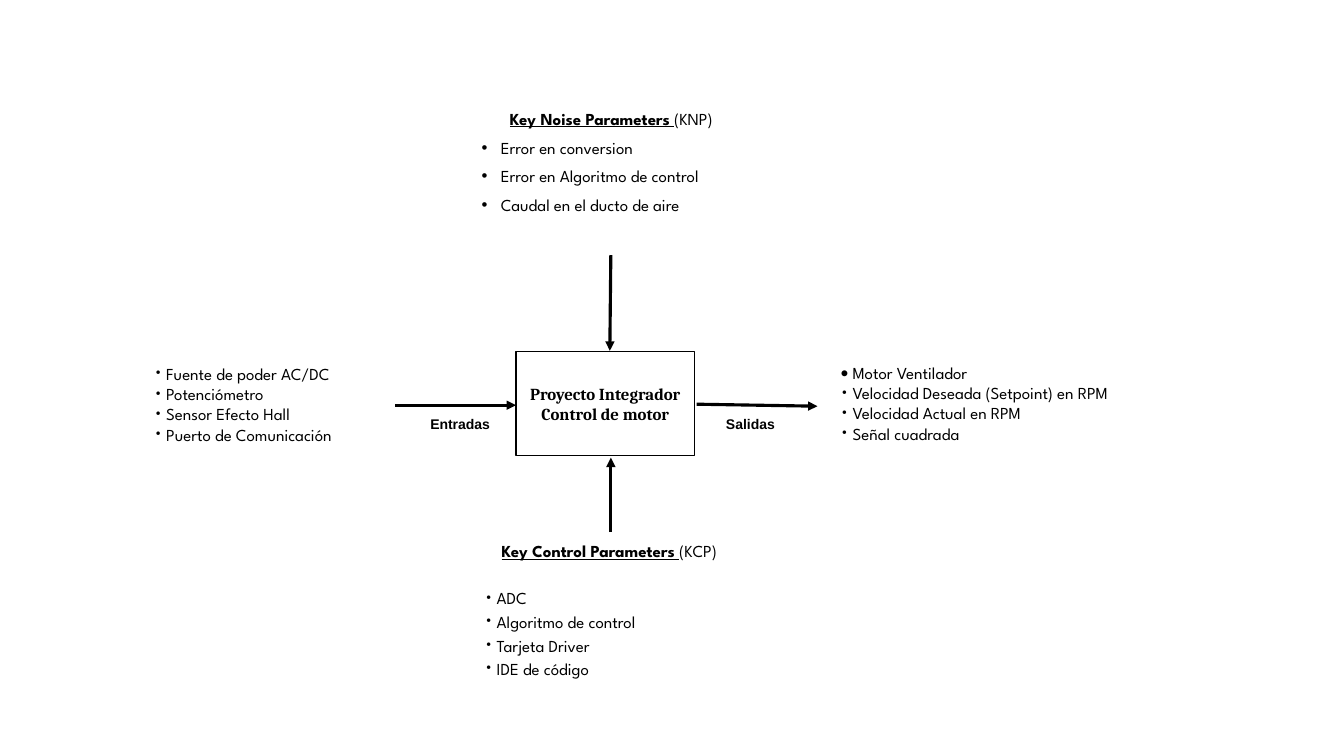
from dataclasses import dataclass
from lxml import etree
from pptx import Presentation, util as u
from pptx.dml.color import RGBColor
from pptx.enum import shapes, text
from pptx.oxml.ns import qn


@dataclass(frozen=True)
class Theme:
    ink: RGBColor = RGBColor(0, 0, 0)
    body: str = "League Spartan"
    core: str = "Cambria"
    label: str = "Arial"
    size: float = 12
    small: float = 10
    edge: float = 1
    arrow: float = 2.25


T = Theme()
ALIGN = text.PP_ALIGN
deck = Presentation()
deck.slide_width, deck.slide_height = u.Inches(13.33), u.Inches(7.5)
slide = deck.slides.add_slide(deck.slide_layouts[6])
COL, ROW = deck.slide_width / 80, deck.slide_height / 45


def grid(box):
    """Turn columns and rows into lengths."""
    return [round(n * unit) for n, unit in zip(box, (COL, ROW, COL, ROW))]


def style(para, face, size=T.size, bold=None, align=ALIGN.LEFT, gap=0):
    para.alignment, para.space_before = align, u.Pt(gap)
    font = para.font
    font.name, font.size, font.bold = face, u.Pt(size), bold
    font.color.rgb = T.ink


def frame(box):
    area = slide.shapes.add_textbox(*grid(box)).text_frame
    area.word_wrap = True
    return area


def bullet(para, hang, face):
    """Hang a round bullet in front of the paragraph."""
    props = para._p.get_or_add_pPr()
    props.set("marL", str(u.Inches(hang)))
    props.set("indent", str(-u.Inches(hang)))
    etree.SubElement(props, qn("a:buFont")).set("typeface", face)
    etree.SubElement(props, qn("a:buChar")).set("char", "•")


def items(area, lines, gap=0, first=0, hang=0.12, faces=()):
    """Fill a text frame with bullets, after any heading it holds."""
    for i, line in enumerate(lines):
        fresh = i == 0 and not area.text
        para = area.paragraphs[0] if fresh else area.add_paragraph()
        para.text = line
        style(para, T.body, gap=gap if i else first)
        bullet(para, hang, faces[i] if i < len(faces) else T.body)


def factors(box, name, code, lines, **looks):
    """Underlined heading with its bullets below."""
    area = frame(box)
    head = area.paragraphs[0]
    style(head, T.body, align=ALIGN.CENTER)
    for part, bold, line in ((name, True, True), (" ", False, True),
                             (code, False, False)):
        run = head.add_run()
        run.text, run.font.bold, run.font.underline = part, bold, line
    items(area, lines, **looks)


def label(box, word):
    area = frame(box)
    area.vertical_anchor = text.MSO_ANCHOR.MIDDLE
    area.text = word
    style(area.paragraphs[0], T.label, T.small, True, ALIGN.CENTER)


def core(box, lines):
    """Framed process in the middle."""
    shape = slide.shapes.add_shape(shapes.MSO_SHAPE.RECTANGLE, *grid(box))
    shape.shadow.inherit = False
    shape.fill.background()
    shape.line.color.rgb, shape.line.width = T.ink, u.Pt(T.edge)
    area = shape.text_frame
    area.word_wrap = False
    area.vertical_anchor = text.MSO_ANCHOR.MIDDLE
    area.text = "\n".join(lines)
    for para in area.paragraphs:
        style(para, T.core, bold=True, align=ALIGN.CENTER)


def arrow(*ends):
    link = slide.shapes.add_connector(shapes.MSO_CONNECTOR.STRAIGHT, *grid(ends))
    link.line.color.rgb, link.line.width = T.ink, u.Pt(T.arrow)
    etree.SubElement(link.line._get_or_add_ln(), qn("a:tailEnd")).set("type", "triangle")
    etree.SubElement(link._element.spPr, qn("a:effectLst"))


# Process
core((30.72, 20.94, 10.62, 6.18), ("Proyecto Integrador", "Control de motor"))

# Inputs and outputs
items(frame((8.58, 21.36, 14.52, 5.46)),
      ("Fuente de poder AC/DC", "Potenciómetro", "Sensor Efecto Hall",
       "Puerto de Comunicación"))
items(frame((49.44, 21.3, 21.42, 5.46)),
      ("Motor Ventilador", "Velocidad Deseada (Setpoint) en RPM",
       "Velocidad Actual en RPM", "Señal cuadrada"), faces=("Calibri",))
label((24.84, 24.3, 5.1, 1.86), "Entradas")
label((42.6, 24.3, 4.14, 1.86), "Salidas")

# Noise and control factors
factors((28.08, 6.18, 16.62, 6.9), "Key Noise Parameters", "(KNP)",
        ("Error en conversion", "Error en Algoritmo de control",
         "Caudal en el ducto de aire"),
        gap=6, first=6, hang=0.19, faces=(T.label,) * 3)
factors((28.26, 31.92, 16.02, 9.18), "Key Control Parameters", "(KCP)",
        ("ADC", "Algoritmo de control", "Tarjeta Driver", "IDE de código"),
        gap=2.4, first=19.2)

# Arrows around the process
arrow(23.52, 24.12, 30.72, 24.12)
arrow(41.46, 24.06, 48.66, 24.18)
arrow(36.36, 15.18, 36.3, 20.88)
arrow(36.36, 31.68, 36.36, 27.24)

deck.save("out.pptx")
